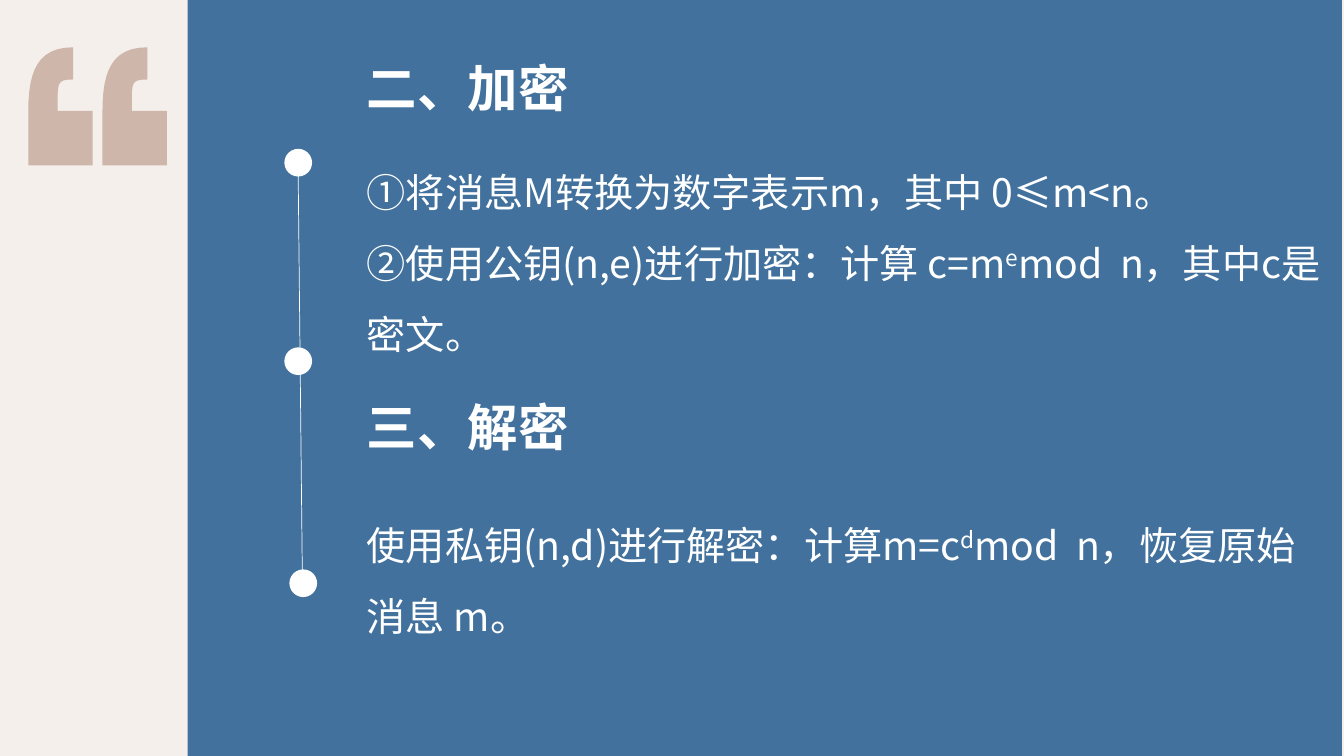
from lxml.etree import SubElement
from pptx import Presentation
from pptx.dml.color import RGBColor
from pptx.enum.shapes import MSO_CONNECTOR, MSO_SHAPE
from pptx.enum.text import MSO_ANCHOR, MSO_AUTO_SIZE, PP_ALIGN
from pptx.oxml.ns import qn
from pptx.util import Pt


def color(hex_text):
    return RGBColor.from_string(hex_text)


def write(paragraph, text, size=28, bold=False, fill="FFFFFF", font="Noto Sans CJK SC", baseline=0):
    run = paragraph.add_run()
    run.text = text
    run.font.size = Pt(size)
    run.font.bold = bold
    run.font.name = font
    run.font.color.rgb = color(fill)
    properties = run.font._element
    SubElement(properties, qn("a:ea")).set("typeface", font)
    if baseline:
        properties.set("baseline", str(baseline * 1000))


def curve(start, first, second, end, steps=12):
    points = []
    for step in range(1, steps + 1):
        t = step / steps
        weights = ((1 - t) ** 3, 3 * t * (1 - t) ** 2, 3 * t ** 2 * (1 - t), t ** 3)
        points.append(tuple(sum(weight * point[axis] for weight, point in
                                zip(weights, (start, first, second, end))) for axis in (0, 1)))
    return points


class SlideBuilder:
    white = "FFFFFF"
    paper = "F4EFEB"
    blue = "41719C"
    tan = "CEB6AA"

    def __init__(self, presentation):
        self.slide = presentation.slides.add_slide(presentation.slide_layouts[5])
        self.slide.background.fill.solid()
        self.slide.background.fill.fore_color.rgb = color(self.paper)

    def paint(self, shape, fill, line=None):
        shape.shadow.inherit = False
        shape.fill.solid()
        shape.fill.fore_color.rgb = color(fill)
        if line:
            shape.line.color.rgb = color(line)
            shape.line.width = Pt(1)
        else:
            shape.line.fill.background()

    def shape(self, kind, left, top, width, height, fill, line=None):
        shape = self.slide.shapes.add_shape(kind, Pt(left), Pt(top), Pt(width), Pt(height))
        self.paint(shape, fill, line)
        return shape

    def quote_marks(self, left, top, gap):
        outline = [(32, 0), (32, 23)]
        outline += curve((32, 23), (21, 23), (21, 25.5), (21, 38))
        outline += [(21, 45.4), (46, 45.4), (46, 84.4), (0, 84.4), (0, 45.4)]
        outline += curve((0, 45.4), (0, 16.8), (7, 0), (32, 0))
        builder = None
        for offset in (left, left + gap):
            points = [(Pt(offset + x), Pt(top + y)) for x, y in outline]
            if builder is None:
                builder = self.slide.shapes.build_freeform(*points[0], scale=1.0)
            else:
                builder.move_to(*points[0])
            builder.add_line_segments(points[1:], close=True)
        self.paint(builder.convert_to_shape(), self.tan)

    def line(self, x1, y1, x2, y2):
        line = self.slide.shapes.add_connector(
            MSO_CONNECTOR.STRAIGHT, Pt(x1), Pt(y1), Pt(x2), Pt(y2))
        line.line.color.rgb = color(self.white)
        line.line.width = Pt(0.5)
        SubElement(line._element.spPr, qn("a:effectLst"))

    def format_text(self, shape, paragraphs, spacing=1.0, **style):
        frame = shape.text_frame
        frame.word_wrap = True
        frame.auto_size = MSO_AUTO_SIZE.NONE
        frame.vertical_anchor = MSO_ANCHOR.TOP
        frame.margin_left = frame.margin_right = frame.margin_top = frame.margin_bottom = 0
        for index, pieces in enumerate(paragraphs):
            paragraph = frame.add_paragraph() if index else frame.paragraphs[0]
            paragraph.alignment = PP_ALIGN.LEFT
            paragraph.line_spacing = spacing
            for position, piece in enumerate(pieces):
                write(paragraph, piece, baseline=30 * (position % 2), **style)

    def title(self, text, left, top, width, height):
        title = self.slide.shapes.title
        title.left, title.top, title.width, title.height = map(Pt, (left, top, width, height))
        self.format_text(title, [[text]], size=36, bold=True)
        return title

    def text(self, paragraphs, left, top, width, height, **style):
        box = self.slide.shapes.add_textbox(Pt(left), Pt(top), Pt(width), Pt(height))
        self.format_text(box, paragraphs, **style)


def main():
    presentation = Presentation()
    presentation.slide_width, presentation.slide_height = Pt(960), Pt(540)
    builder = SlideBuilder(presentation)

    panel = builder.shape(MSO_SHAPE.RECTANGLE, 134, 0, 824.5, 540, builder.blue)
    title = builder.title("二、加密", 262, 41, 155, 51)
    title.element.addprevious(panel.element)

    builder.quote_marks(20.2, 33.8, 53)
    builder.line(213, 125, 216, 415)
    for left, top in ((203.6, 106.8), (203.6, 248.6), (207.2, 407.2)):
        builder.shape(MSO_SHAPE.OVAL, left, top, 18.8, 18.8, builder.white, builder.white)

    encryption = [
        ["①将消息M转换为数字表示m，其中 0≤m<n。"],
        ["②使用公钥(n,e)进行加密：计算 c=m", "e", "mod  n，其中c是密文。"],
    ]
    decryption = [["使用私钥(n,d)进行解密：计算m=c", "d", "mod  n，恢复原始消息 m。"]]
    builder.text(encryption, 262, 103.7, 690.6, 160, spacing=1.5)
    builder.text([["三、解密"]], 262, 283, 184, 57, size=36, bold=True)
    builder.text(decryption, 262, 355.7, 686, 94, spacing=1.5)

    presentation.save("out.pptx")


if __name__ == "__main__":
    main()
